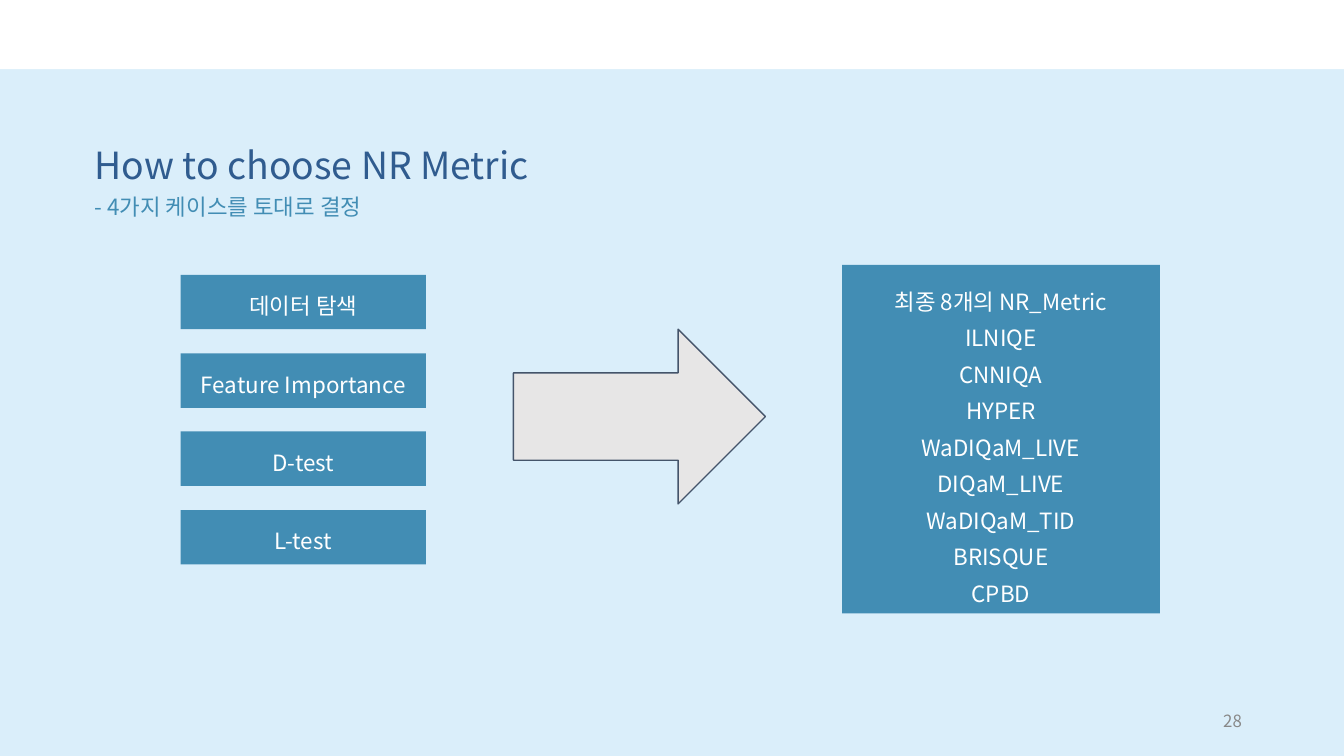
from copy import deepcopy
from dataclasses import dataclass

from lxml import etree
from pptx import Presentation
from pptx.dml.color import RGBColor
from pptx.enum.shapes import MSO_SHAPE
from pptx.enum.text import MSO_ANCHOR, MSO_AUTO_SIZE, PP_ALIGN
from pptx.oxml.ns import qn
from pptx.util import Pt

RECTANGLE, RIGHT_ARROW = MSO_SHAPE.RECTANGLE, MSO_SHAPE.RIGHT_ARROW
LEFT, CENTER, RIGHT = PP_ALIGN.LEFT, PP_ALIGN.CENTER, PP_ALIGN.RIGHT
TOP, MIDDLE = MSO_ANCHOR.TOP, MSO_ANCHOR.MIDDLE
PX = 4572  # EMU per px, 200 px to the inch


@dataclass(frozen=True)
class Theme:
    font: str = "Noto Sans CJK KR"
    background: RGBColor = RGBColor(0xDA, 0xEE, 0xFA)
    white: RGBColor = RGBColor(0xFF, 0xFF, 0xFF)
    title: RGBColor = RGBColor(0x30, 0x5C, 0x8F)
    accent: RGBColor = RGBColor(0x42, 0x8D, 0xB4)
    page_number: RGBColor = RGBColor(0x88, 0x88, 0x88)
    arrow_fill: RGBColor = RGBColor(0xE7, 0xE6, 0xE6)
    arrow_line: RGBColor = RGBColor(0x44, 0x54, 0x6A)
    title_size: int = 20
    body_size: int = 12
    small_size: int = 9


THEME = Theme()


def write(box, text, size, color, align=LEFT, spacing=1.15, anchor=TOP, insets=(20, 20)):
    """Fill a box with text; \\n starts a paragraph and \\v breaks a line."""
    frame = box.text_frame
    frame.text = text
    frame.word_wrap = True
    frame.auto_size = MSO_AUTO_SIZE.NONE
    frame.vertical_anchor = anchor
    frame.margin_left = frame.margin_right = insets[0] * PX
    frame.margin_top = frame.margin_bottom = insets[1] * PX
    for para in frame.paragraphs:
        para.alignment = align
        para.line_spacing = spacing
        para.space_before = para.space_after = Pt(0)
        for span in para.runs:
            span.font.size = Pt(size)
            span.font.bold = False
            span.font.color.rgb = color
            span.font.name = THEME.font
            properties = span.font._element
            etree.SubElement(properties, qn("a:ea"), typeface=THEME.font)
        for line_break in para._p.findall(qn("a:br")):
            line_break.append(deepcopy(properties))


def add_block(page, kind, left, top, width, height, fill):
    block = page.shapes.add_shape(kind, left * PX, top * PX, width * PX, height * PX)
    block.shadow.inherit = False
    block.fill.solid()
    block.fill.fore_color.rgb = fill
    block.line.fill.background()
    return block


deck = Presentation()
deck.slide_width, deck.slide_height = 2000 * PX, 1125 * PX
page = deck.slides.add_slide(deck.slide_layouts[5])
page.background.fill.solid()
page.background.fill.fore_color.rgb = THEME.background

add_block(page, RECTANGLE, 0, 0, 2000, 103, THEME.white)

title = page.shapes.title
title.left, title.top, title.width, title.height = 121 * PX, 182 * PX, 960 * PX, 108 * PX
write(title, "How to choose NR Metric", THEME.title_size, THEME.title)

subtitle = page.shapes.add_textbox(121 * PX, 262 * PX, 924 * PX, 80 * PX)
write(subtitle, "- 4가지 케이스를 토대로 결정", THEME.body_size, THEME.accent)

page_number = page.shapes.add_textbox(1412 * PX, 1043 * PX, 450 * PX, 60 * PX)
write(page_number, "28", THEME.small_size, THEME.page_number, RIGHT, 1.0, MIDDLE, (14, 7))

# Four cases at an equal pitch
cases = ["데이터 탐색", "Feature Importance", "D-test", "L-test"]
for index, case in enumerate(cases):
    case_top = 409 + round(index * 116.7)
    case_box = add_block(page, RECTANGLE, 269, case_top, 365, 81, THEME.accent)
    write(case_box, case, THEME.body_size, THEME.white, CENTER)

metrics = [
    "최종 8개의 NR_Metric", "ILNIQE", "CNNIQA", "HYPER\vWaDIQaM_LIVE",
    "DIQaM_LIVE", "WaDIQaM_TID", "BRISQUE", "CPBD",
]
metrics_box = add_block(page, RECTANGLE, 1253, 394, 473, 519, THEME.accent)
write(metrics_box, "\n".join(metrics), THEME.body_size, THEME.white, CENTER, 1.36)

arrow = add_block(page, RIGHT_ARROW, 764, 490, 375, 260, THEME.arrow_fill)
arrow.line.color.rgb = THEME.arrow_line
arrow.line.width = Pt(0.75)

deck.save("out.pptx")
